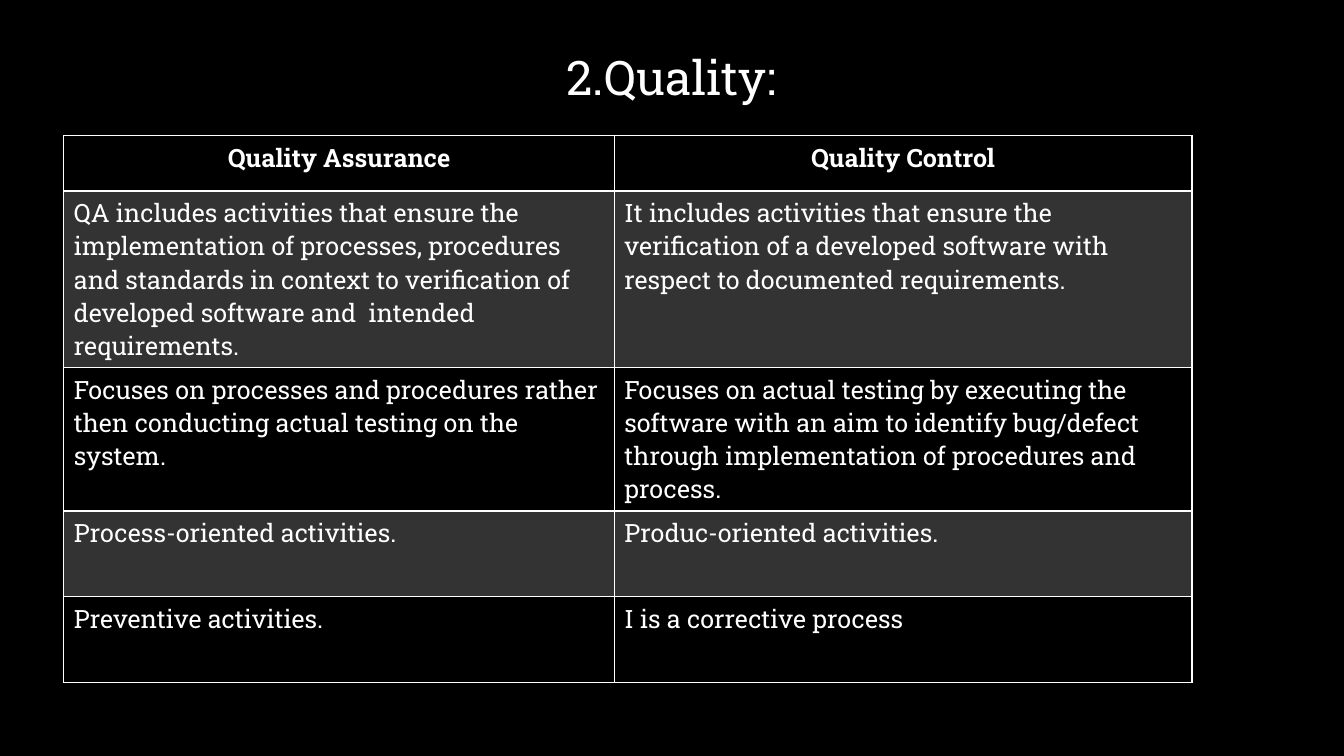
from lxml.etree import SubElement
from pptx import Presentation
from pptx.dml.color import RGBColor
from pptx.enum.text import MSO_ANCHOR, PP_ALIGN
from pptx.oxml.ns import qn
from pptx.util import Inches, Pt

BLACK = RGBColor(0x00, 0x00, 0x00)
WHITE = RGBColor(0xFF, 0xFF, 0xFF)

COLUMN_WIDTHS = (40.96, 42.98)  # percent of the slide's width
ROW_HEIGHTS = (7.33, 23.33, 18.93, 11.33, 11.33)  # percent of its height
COMPARISON = (
    ("Quality Assurance", "Quality Control"),
    ("QA includes activities that ensure the implementation of processes, procedures "
     "and standards in context to verification of developed software and  intended "
     "requirements.",
     "It includes activities that ensure the  verification of a developed software "
     "with respect to documented requirements."),
    ("Focuses on processes and procedures rather then conducting actual testing on "
     "the system.",
     "Focuses on actual testing by executing the software with an aim to identify "
     "bug/defect through implementation of procedures and process."),
    ("Process-oriented activities.", "Produc-oriented activities."),
    ("Preventive activities.", "I is a corrective process"),
)


class DarkPage:
    """Holds the style and the current slide; lengths are percent of the slide."""

    font_name = "Roboto Slab"
    title_size = 34
    body_size = 18
    band_opacity = 20

    def __init__(self, deck):
        self.deck = deck
        self.page = deck.slides.add_slide(deck.slide_layouts[5])
        background = self.page.background.fill
        background.solid()
        background.fore_color.rgb = BLACK

    def across(self, percent):
        return round(self.deck.slide_width * percent / 100)

    def down(self, percent):
        return round(self.deck.slide_height * percent / 100)

    def style(self, para, size, bold=False, align=PP_ALIGN.LEFT):
        para.alignment = align
        font = para.font
        font.name, font.size, font.bold = self.font_name, Pt(size), bold
        font.color.rgb = WHITE

    def title(self, text, left, top, width, height):
        box = self.page.shapes.title
        box.left, box.top = self.across(left), self.down(top)
        box.width, box.height = self.across(width), self.down(height)
        box.text_frame.text = text
        box.text_frame.vertical_anchor = MSO_ANCHOR.MIDDLE
        para = box.text_frame.paragraphs[0]
        para.line_spacing = 0.9
        self.style(para, self.title_size, align=PP_ALIGN.CENTER)

    def table(self, rows, left, top, widths, heights):
        frame = self.page.shapes.add_table(
            len(rows), len(widths), self.across(left), self.down(top),
            self.across(sum(widths)), self.down(sum(heights)))
        table = frame.table
        table.first_row = table.horz_banding = False
        for column, width in zip(table.columns, widths):
            column.width = self.across(width)
        for row, height in zip(table.rows, heights):
            row.height = self.down(height)
        for row_index, texts in enumerate(rows):
            for column_index, text in enumerate(texts):
                self.cell(table.cell(row_index, column_index), text, row_index)

    def cell(self, cell, text, row_index):
        is_header = row_index == 0
        cell.text = text
        align = PP_ALIGN.CENTER if is_header else PP_ALIGN.LEFT
        self.style(cell.text_frame.paragraphs[0], self.body_size, is_header, align)
        self.borders(cell, top=2 if row_index == 1 else 1, bottom=2 if is_header else 1)
        # Every second row carries a translucent band
        if row_index % 2:
            cell.fill.solid()
            cell.fill.fore_color.rgb = WHITE
            color = cell._tc.tcPr.find(qn("a:solidFill"))[0]
            SubElement(color, qn("a:alpha"), val=str(self.band_opacity * 1000))
        else:
            cell.fill.background()

    def borders(self, cell, top, bottom):
        properties = cell._tc.get_or_add_tcPr()
        for side, points in (("L", 1), ("R", 1), ("T", top), ("B", bottom)):
            line = SubElement(properties, qn(f"a:ln{side}"), w=str(Pt(points)))
            fill = SubElement(line, qn("a:solidFill"))
            SubElement(fill, qn("a:srgbClr"), val=str(WHITE))


def main():
    deck = Presentation()
    deck.slide_width, deck.slide_height = Inches(13.33), Inches(7.5)
    page = DarkPage(deck)

    # Heading
    page.title("2.Quality:", 7.5, 0.9, 84.92, 19.33)

    # Comparison of the two disciplines
    page.table(COMPARISON, 4.75, 17.95, COLUMN_WIDTHS, ROW_HEIGHTS)

    deck.save("out.pptx")


if __name__ == "__main__":
    main()
